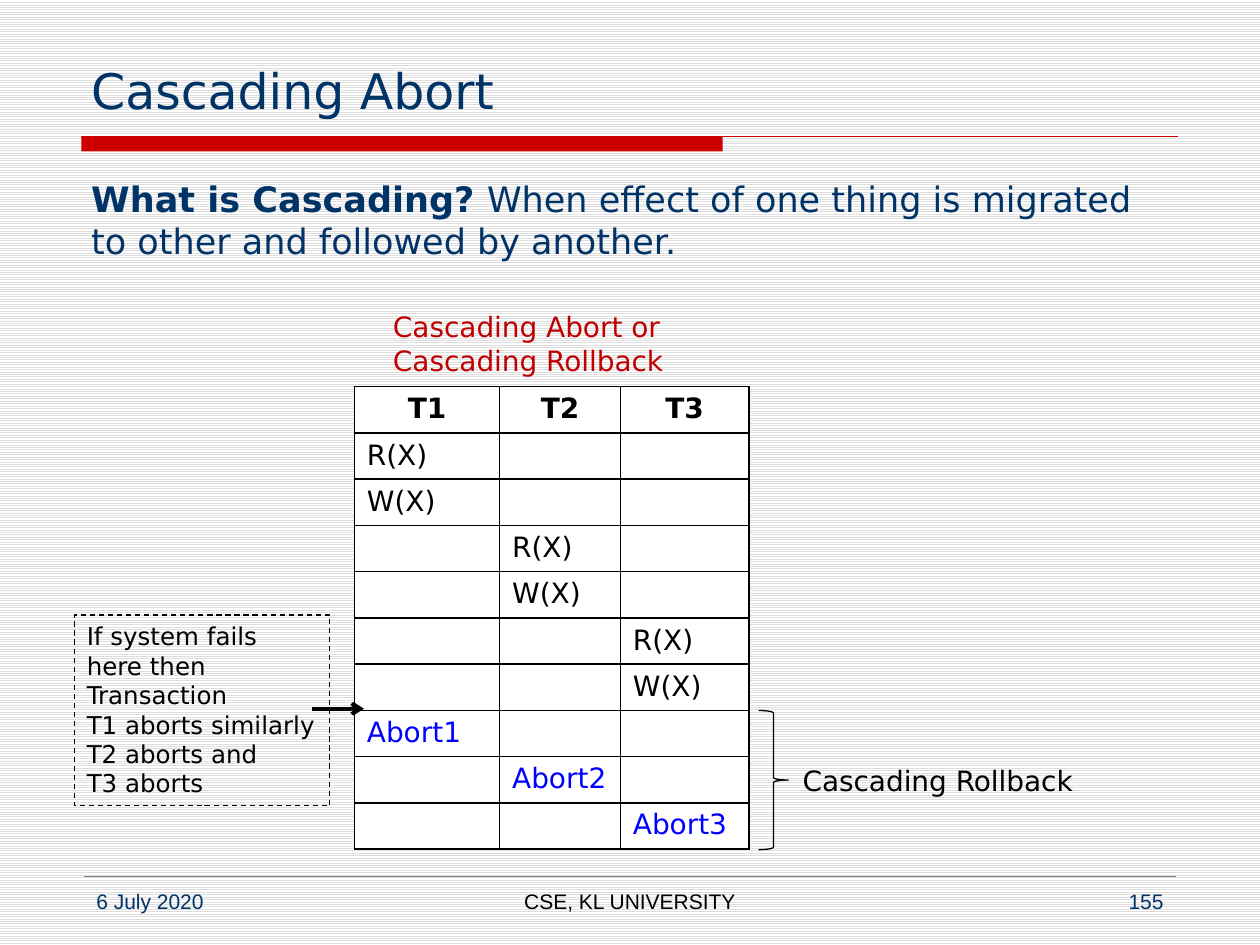
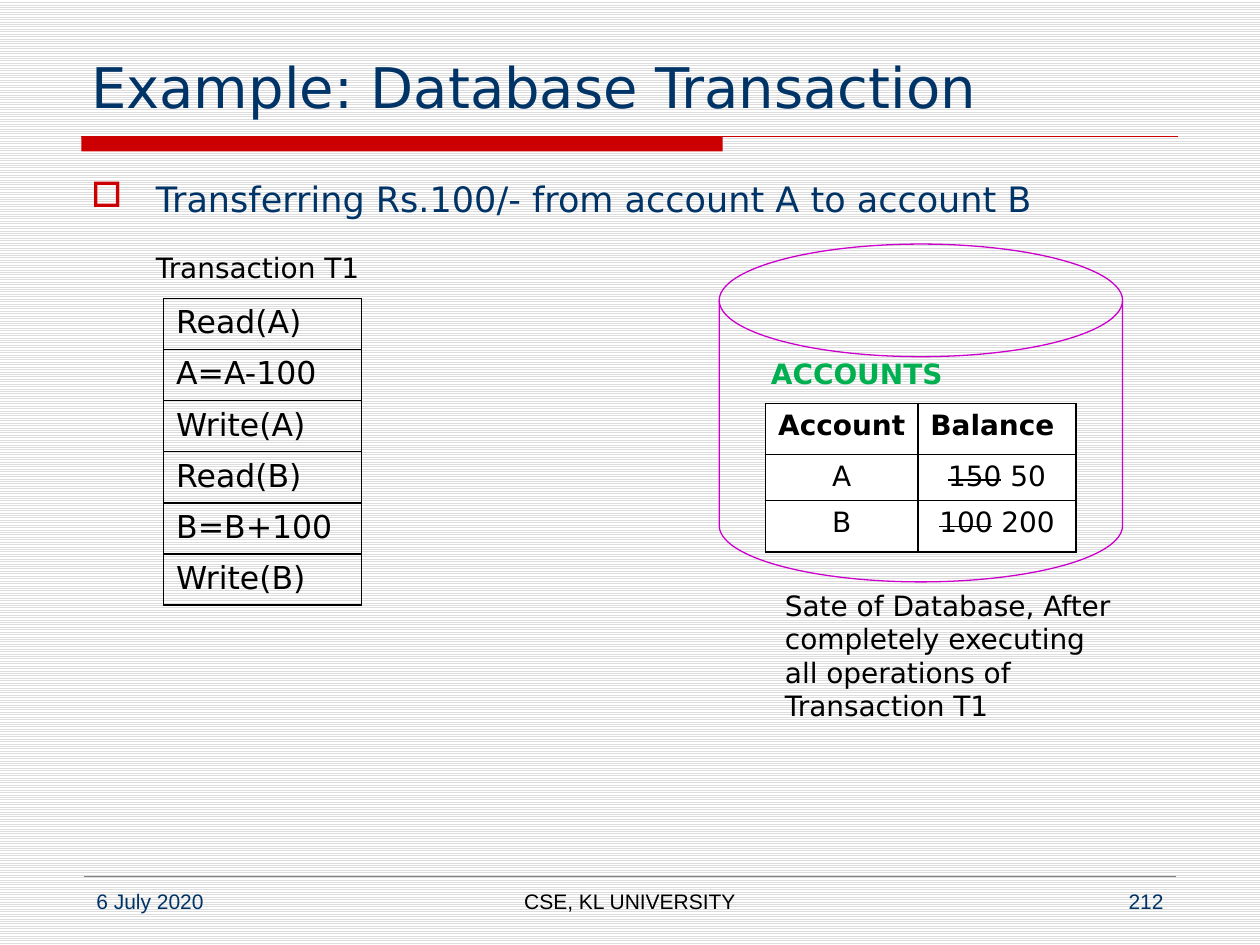
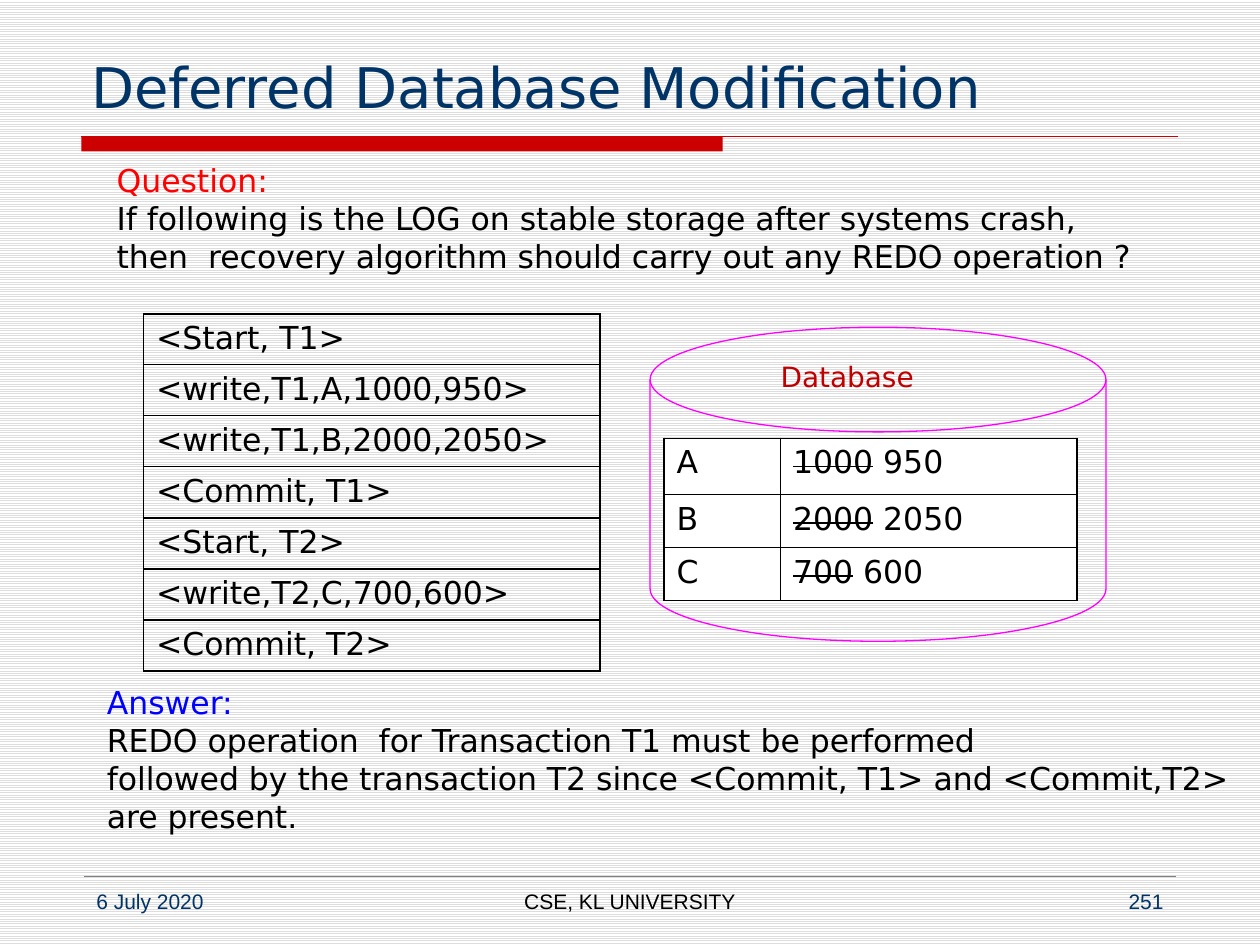
import pptx
import pptx.util
import pptx.dml.color
import pptx.enum.dml
import pptx.enum.shapes
import pptx.enum.text
import pptx.oxml.ns
from lxml import etree

Pt = pptx.util.Pt
ALIGN = pptx.enum.text.PP_ALIGN
SHAPE = pptx.enum.shapes.MSO_SHAPE

# Shared look
SANS, FOOT = "DejaVu Sans", "Arial"
NAVY, RED, BLACK, WHITE = "003366", "CC0000", "000000", "FFFFFF"
CRIMSON, BLUE, GREEN, GREY = "C00000", "0000FF", "00B050", "808080"
DATE, DEPT = "6 July 2020", "CSE, KL UNIVERSITY"

# Content: a line is a string or a tuple of (text, mark) runs; b bold, s struck
HEADS = ["T1", "T2", "T3"]
STEPS = [("R(X)", 0), ("W(X)", 0), ("R(X)", 1), ("W(X)", 1), ("R(X)", 2),
         ("W(X)", 2), ("Abort1", 0), ("Abort2", 1), ("Abort3", 2)]
CASCADE = (("What is Cascading? ", "b"),
           ("When effect of one thing is migrated to other and followed by another.", ""))
NOTE = ["If system fails", "here then", "Transaction",
        "T1 aborts similarly", "T2 aborts and", "T3 aborts"]

TRANSFER = "Transferring Rs.100/- from account A to account B"
OPS = ["Read(A)", "A=A-100", "Write(A)", "Read(B)", "B=B+100", "Write(B)"]
ACCOUNTS = [("A", "150", "50"), ("B", "100", "200")]
STATE = ["Sate of Database, After", "completely executing",
         "all operations of", "Transaction T1"]

QUESTION = ["Question:",
            "If following is the LOG on stable storage after systems crash,",
            "then  recovery algorithm should carry out any REDO operation ?"]
LOG = ["<Start, T1>", "<write,T1,A,1000,950>", "<write,T1,B,2000,2050>",
       "<Commit, T1>", "<Start, T2>", "<write,T2,C,700,600>", "<Commit, T2>"]
VALUES = [("A", "1000", "950"), ("B", "2000", "2050"), ("C", "700", "600")]
ANSWER = ["Answer:", "REDO operation  for Transaction T1 must be performed",
          "followed by the transaction T2 since <Commit, T1> and <Commit,T2>",
          "are present."]


def rgb(code):
    return pptx.dml.color.RGBColor.from_string(code)


def sub(node, tag, **attrs):
    return etree.SubElement(node, pptx.oxml.ns.qn(tag), **attrs)


def put(par, line, size, color, bold=False, align=ALIGN.LEFT, face=SANS):
    """Write one line of text into a paragraph."""
    par.alignment = align
    font = par.font
    font.name, font.size, font.bold = face, Pt(size), bold
    font.color.rgb = rgb(color)
    if not line:
        sub(par._p, "a:endParaRPr", sz=str(size * 100))
        return
    for text, mark in [(line, "")] if isinstance(line, str) else line:
        run = par.add_run()
        run.text = text
        if mark == "b":
            run.font.bold = True
        elif mark == "s":
            run._r.get_or_add_rPr().set("strike", "sngStrike")


def write(page, box, lines, size, color=BLACK, lead=None, wrap=False,
          anchor="TOP", **style):
    """Add a text box; lead colours its first line."""
    item = page.shapes.add_textbox(*map(Pt, box))
    frame = item.text_frame
    frame.word_wrap = wrap
    if not wrap:
        frame.auto_size = pptx.enum.text.MSO_AUTO_SIZE.SHAPE_TO_FIT_TEXT
    frame.vertical_anchor = pptx.enum.text.MSO_ANCHOR[anchor]
    for i, line in enumerate(lines):
        par = frame.add_paragraph() if i else frame.paragraphs[0]
        put(par, line, size, color if i or not lead else lead, **style)
    return item


def rule(page, x1, y1, x2, y2, color, width, arrow=False):
    line = page.shapes.add_connector(
        pptx.enum.shapes.MSO_CONNECTOR.STRAIGHT, *map(Pt, (x1, y1, x2, y2)))
    line.line.color.rgb = rgb(color)
    line.line.width = Pt(width)
    if arrow:
        sub(line.line._get_or_add_ln(), "a:tailEnd", type="arrow")
    sub(line._element.spPr, "a:effectLst")


def outline(page, kind, box, color):
    item = page.shapes.add_shape(kind, *map(Pt, box))
    item.shadow.inherit = False
    item.fill.background()
    item.line.color.rgb = rgb(color)
    item.line.width = Pt(0.75)


def border(cell):
    props = cell._tc.get_or_add_tcPr()
    for side in "LRTB":
        edge = sub(props, "a:ln" + side, w=str(Pt(1)))
        sub(sub(edge, "a:solidFill"), "a:srgbClr", val=BLACK)


def grid(page, x, y, cols, highs, rows, size, fill=None, style=None):
    """Add a table; style(row, col, line) gives extra text settings."""
    table = page.shapes.add_table(len(rows), len(cols), Pt(x), Pt(y),
                                  Pt(sum(cols)), Pt(sum(highs))).table
    table.first_row = table.horz_banding = False
    for col, width in zip(table.columns, cols):
        col.width = Pt(width)
    for r, (row, high) in enumerate(zip(rows, highs)):
        table.rows[r].height = Pt(high)
        for c, line in enumerate(row):
            cell = table.cell(r, c)
            border(cell)
            if fill:
                cell.fill.solid()
                cell.fill.fore_color.rgb = rgb(fill)
            else:
                cell.fill.background()
            look = {"color": BLACK, **(style(r, c, line) if style else {})}
            put(cell.text_frame.paragraphs[0], line, size, **look)


def update(rows):
    """Show each old value struck out before the new one."""
    return [[name, ((old, "s"), (" " + new, ""))] for name, old, new in rows]


def start(deck, title, size, number):
    """Add a slide with title, red band and footer."""
    page = deck.slides.add_slide(deck.slide_layouts[6])
    band = page.shapes.add_shape(SHAPE.RECTANGLE, Pt(46.5), Pt(78), Pt(366.5), Pt(8.5))
    band.shadow.inherit = False
    band.fill.solid()
    band.fill.fore_color.rgb = rgb(RED)
    band.line.fill.background()
    rule(page, 46.5, 78, 673, 78, RED, 0.75)
    rule(page, 48, 500.5, 672, 500.5, GREY, 0.25)
    write(page, (45, 12, 630, 60), [title], size, NAVY, wrap=True, anchor="BOTTOM")
    for x, width, text, color, align in [
            (48, 156, DATE, NAVY, ALIGN.LEFT),
            (246, 228, DEPT, BLACK, ALIGN.CENTER),
            (516, 156, str(number), NAVY, ALIGN.RIGHT)]:
        write(page, (x, 504, width, 25), [text], 12, color, wrap=True,
              align=align, face=FOOT)
    return page


def body(page, line, bullet=False):
    item = write(page, (45, 98, 630, 60), [""], 20, NAVY, wrap=True)
    par = item.text_frame.paragraphs[0]
    par._p.clear()
    if bullet:
        props = par._p.get_or_add_pPr()
        props.set("marL", str(Pt(37)))
        props.set("indent", str(-Pt(37)))
        sub(sub(props, "a:buClr"), "a:srgbClr", val=RED)
        sub(props, "a:buChar", char="□")
    put(par, line, 20, NAVY)


def abort(deck):
    page = start(deck, "Cascading Abort", 28, 155)
    body(page, CASCADE)
    write(page, (217.5, 173.5, 169, 46), ["Cascading Abort or", "Cascading Rollback"],
          16, CRIMSON)
    rows = [HEADS] + [[text if c == col else "" for c in range(3)]
                      for text, col in STEPS]

    def style(r, c, line):
        if r == 0:
            return {"bold": True, "align": ALIGN.CENTER}
        return {"color": BLUE if line.startswith("Abort") else BLACK}

    grid(page, 202.5, 221, [83, 69, 73.5], [26.4] * len(rows), rows, 16, WHITE, style)
    rule(page, 178.5, 405, 208, 405, BLACK, 2.25, arrow=True)
    note = write(page, (42.5, 351.5, 146, 109), NOTE, 14)
    note.line.color.rgb = rgb(BLACK)
    note.line.width = Pt(0.75)
    note.line.dash_style = pptx.enum.dml.MSO_LINE.DASH
    outline(page, SHAPE.RIGHT_BRACE, (433.5, 406, 17, 79.5), BLACK)
    write(page, (451.5, 432.5, 215, 26.5), ["Cascading Rollback"], 16, wrap=True)


def example(deck):
    page = start(deck, "Example: Database Transaction", 32, 212)
    body(page, TRANSFER, bullet=True)
    outline(page, SHAPE.FLOWCHART_MAGNETIC_DISK, (411, 139.5, 230.5, 193), "CC00CC")

    def style(r, c, line):
        return {"align": ALIGN.CENTER} if r else {"bold": True}

    grid(page, 437.5, 230.5, [87, 90.5], [29.2, 25.7, 29.2],
         [["Account", "Balance"]] + update(ACCOUNTS), 16, WHITE, style)
    write(page, (433.5, 200, 114, 26.5), ["ACCOUNTS"], 16, GREEN, bold=True)
    grid(page, 93.5, 170.5, [113], [29.2] * len(OPS), [[op] for op in OPS], 18)
    write(page, (82, 139.5, 132.5, 26.5), ["Transaction T1"], 16)
    write(page, (441.5, 332.5, 211, 85), STATE, 16)


def deferred(deck):
    page = start(deck, "Deferred Database Modification", 32, 251)
    grid(page, 82, 179.5, [261], [28] + [29.2] * (len(LOG) - 1),
         [[entry] for entry in LOG], 18)
    write(page, (59.5, 88.5, 600, 72.5), QUESTION, 18, lead="FF0000")
    write(page, (54, 387, 665, 94.5), ANSWER, 18, lead=BLUE)
    grid(page, 379.5, 250.5, [66.5, 169.5], [32.2, 30.3, 30.3], update(VALUES), 18, WHITE)
    outline(page, SHAPE.FLOWCHART_MAGNETIC_DISK, (371.5, 187, 260.5, 179.5), "FF00FF")
    write(page, (439, 202, 91, 26.5), ["Database"], 16, CRIMSON)


def main():
    deck = pptx.Presentation()
    deck.slide_width, deck.slide_height = Pt(720), Pt(540)
    # Striped background on the master
    back = deck.slide_master.background.fill
    back.patterned()
    back.pattern = pptx.enum.dml.MSO_PATTERN.LIGHT_HORIZONTAL
    back.fore_color.rgb = rgb("DDDDDD")
    back.back_color.rgb = rgb(WHITE)
    for build in (abort, example, deferred):
        build(deck)
    deck.save("out.pptx")


if __name__ == "__main__":
    main()
